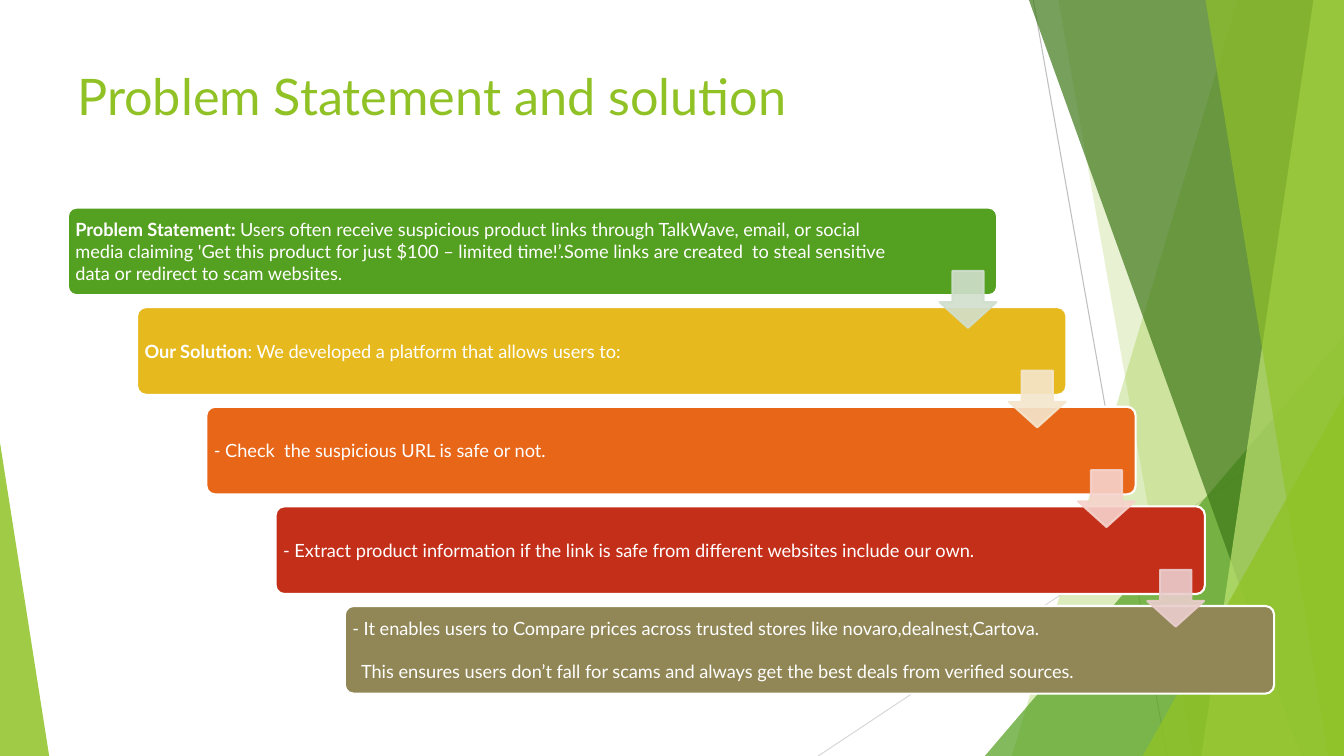
from lxml.etree import SubElement
from pptx import Presentation
from pptx.dml.color import RGBColor
from pptx.enum.shapes import MSO_CONNECTOR, MSO_SHAPE as Preset
from pptx.enum.text import MSO_ANCHOR as Anchor
from pptx.oxml.ns import qn
from pptx.util import Cm, Pt

FONT = "Lato"
WIDTH, HEIGHT = 33.87, 19.05
WHITE = RGBColor(0xFF, 0xFF, 0xFF)
LIME = RGBColor(0x90, 0xC2, 0x26)
PALE_LIME = RGBColor(0xC0, 0xE4, 0x74)
GREEN = RGBColor(0x54, 0xA0, 0x21)
DARK_GREEN = RGBColor(0x3F, 0x78, 0x19)
GOLD = RGBColor(0xE6, 0xB9, 0x1E)
ORANGE = RGBColor(0xE7, 0x66, 0x18)
RED = RGBColor(0xC4, 0x2F, 0x1A)
OLIVE = RGBColor(0x91, 0x86, 0x55)
GREY = RGBColor(0xBF, 0xBF, 0xBF)
LIGHT_GREY = RGBColor(0xD9, 0xD9, 0xD9)
PALE_GREEN = RGBColor(0xD1, 0xDF, 0xCD)
PALE_GOLD = RGBColor(0xF5, 0xE6, 0xCD)
PALE_ORANGE = RGBColor(0xF6, 0xD3, 0xCC)
PALE_RED = RGBColor(0xEA, 0xCD, 0xCD)

# Each step: bar colour, paragraphs made of (text, bold) runs
STEPS = [
    (GREEN, [[("Problem Statement: ", True),
              ("Users often receive suspicious product links through TalkWave, email, "
               "or social media claiming 'Get this product for just $100 – limited "
               "time!’.Some links are created  to steal sensitive data or redirect "
               "to scam websites.", False)]]),
    (GOLD, [[("Our Solution", True),
             (": We developed a platform that allows users to:", False)]]),
    (ORANGE, [[("- Check  the suspicious URL is safe or not.", False)]]),
    (RED, [[("- Extract product information if the link is safe from different "
             "websites include our own.", False)]]),
    (OLIVE, [[("- It enables users to Compare prices across trusted stores like "
               "novaro,dealnest,Cartova.", False)],
             [("This ensures users don’t fall for scams and always get the best "
               "deals from verified sources.", False)]]),
]
ARROW_COLORS = [PALE_GREEN, PALE_GOLD, PALE_ORANGE, PALE_RED]


def paint(shape, fill, opacity=100, outline=None):
    """Give a flat fill and, if wanted, a 1.5 pt outline of the same opacity."""
    shape.shadow.inherit = False
    shape.fill.solid()
    shape.fill.fore_color.rgb = fill
    if outline is None:
        shape.line.fill.background()
    else:
        shape.line.color.rgb = outline
        shape.line.width = Pt(1.5)
    if opacity < 100:
        for color in shape._element.spPr.iter(qn("a:srgbClr")):
            SubElement(color, qn("a:alpha"), val=str(opacity * 1000))


def add_run(paragraph, text, size, color, bold=False):
    run = paragraph.add_run()
    run.text = text
    run.font.name, run.font.size, run.font.bold = FONT, Pt(size), bold
    run.font.color.rgb = color


def add_hairline(slide, start, end, color):
    hairline = slide.shapes.add_connector(
        MSO_CONNECTOR.STRAIGHT, *map(Cm, (*start, *end)))
    hairline.line.color.rgb = color
    hairline.line.width = Pt(0.75)
    SubElement(hairline._element.spPr, qn("a:effectLst"))


def add_facet(slide, top_x, bottom_x, color, opacity):
    """Fill from a slanted left edge to the right edge of the slide."""
    outline = slide.shapes.build_freeform(Cm(top_x), 0)
    outline.add_line_segments([(Cm(WIDTH), 0), (Cm(WIDTH), Cm(HEIGHT)),
                               (Cm(bottom_x), Cm(HEIGHT))])
    paint(outline.convert_to_shape(), color, opacity)


def add_corner(slide, left, width, height, apex, color, opacity):
    """Stand a triangle on the bottom edge of the slide."""
    corner = slide.shapes.add_shape(
        Preset.ISOSCELES_TRIANGLE, Cm(left), Cm(HEIGHT - height), Cm(width), Cm(height))
    corner.adjustments[0] = apex
    paint(corner, color, opacity)


def add_backdrop(slide):
    add_hairline(slide, (26.04, 0), (29.41, HEIGHT), GREY)
    add_hairline(slide, (WIDTH, 10.24), (20.62, HEIGHT), LIGHT_GREY)
    add_facet(slide, 31.19, 25.5, LIME, 30)
    add_facet(slide, 26.67, 30.05, LIME, 20)
    add_corner(slide, 24.82, 9.05, 10.59, 1, GREEN, 72)
    add_facet(slide, 25.93, 32.79, DARK_GREEN, 70)
    add_facet(slide, 33.1, 30.28, PALE_LIME, 70)
    add_facet(slide, 30.38, 33.48, LIME, 65)
    add_corner(slide, 28.8, 5.07, 9.07, 1, LIME, 80)
    add_corner(slide, 0, 1.24, 7.9, 0, LIME, 85)


def add_title(slide, left, top, width, height):
    title = slide.shapes.add_textbox(*map(Cm, (left, top, width, height))).text_frame
    title.word_wrap = True
    add_run(title.paragraphs[0], "Problem Statement and solution", 36, LIME)


def add_step(slide, left, top, width, height, color, paragraphs):
    """Draw a bar and its text, which ends short of the arrow."""
    bar = slide.shapes.add_shape(
        Preset.ROUNDED_RECTANGLE, *map(Cm, (left, top, width, height)))
    bar.adjustments[0] = 0.1
    paint(bar, color, outline=WHITE)
    inset, arrow_room = 0.06, 2.64
    frame = slide.shapes.add_textbox(
        Cm(left + inset), Cm(top + inset),
        Cm(width - arrow_room), Cm(height - 2 * inset)).text_frame
    frame.word_wrap = True
    frame.vertical_anchor = Anchor.MIDDLE
    frame.margin_left = frame.margin_right = Cm(0.13)
    frame.margin_top = frame.margin_bottom = Cm(0.13)
    for index, runs in enumerate(paragraphs):
        paragraph = frame.add_paragraph() if index else frame.paragraphs[0]
        if index:
            paragraph.space_before = Pt(15.6)
            paragraph._p.get_or_add_pPr().set("marL", str(Cm(0.22)))
        for text, bold in runs:
            add_run(paragraph, text, 13, WHITE, bold)


def add_staircase(slide, left, top, width, height):
    bar_width, bar_height, arrow_size = 23.42, 2.21, 1.43
    step_x = (width - bar_width) / (len(STEPS) - 1)
    step_y = (height - bar_height) / (len(STEPS) - 1)
    for index, (color, paragraphs) in enumerate(STEPS):
        add_step(slide, left + index * step_x, top + index * step_y,
                 bar_width, bar_height, color, paragraphs)
    for index, color in enumerate(ARROW_COLORS):
        arrow = slide.shapes.add_shape(
            Preset.DOWN_ARROW,
            Cm(left + index * step_x + bar_width - arrow_size - 0.02),
            Cm(top + index * step_y + 1.6), Cm(arrow_size), Cm(arrow_size))
        arrow.adjustments[0], arrow.adjustments[1] = 0.55, 0.45
        paint(arrow, color, 90, outline=color)


def main():
    deck = Presentation()
    deck.slide_width, deck.slide_height = Cm(WIDTH), Cm(HEIGHT)
    slide = deck.slides.add_slide(deck.slide_layouts[6])
    add_backdrop(slide)
    add_title(slide, 1.7, 1.52, 30.4, 3.15)
    add_staircase(slide, 1.71, 5.23, 30.4, 12.25)
    deck.save("out.pptx")


if __name__ == "__main__":
    main()
